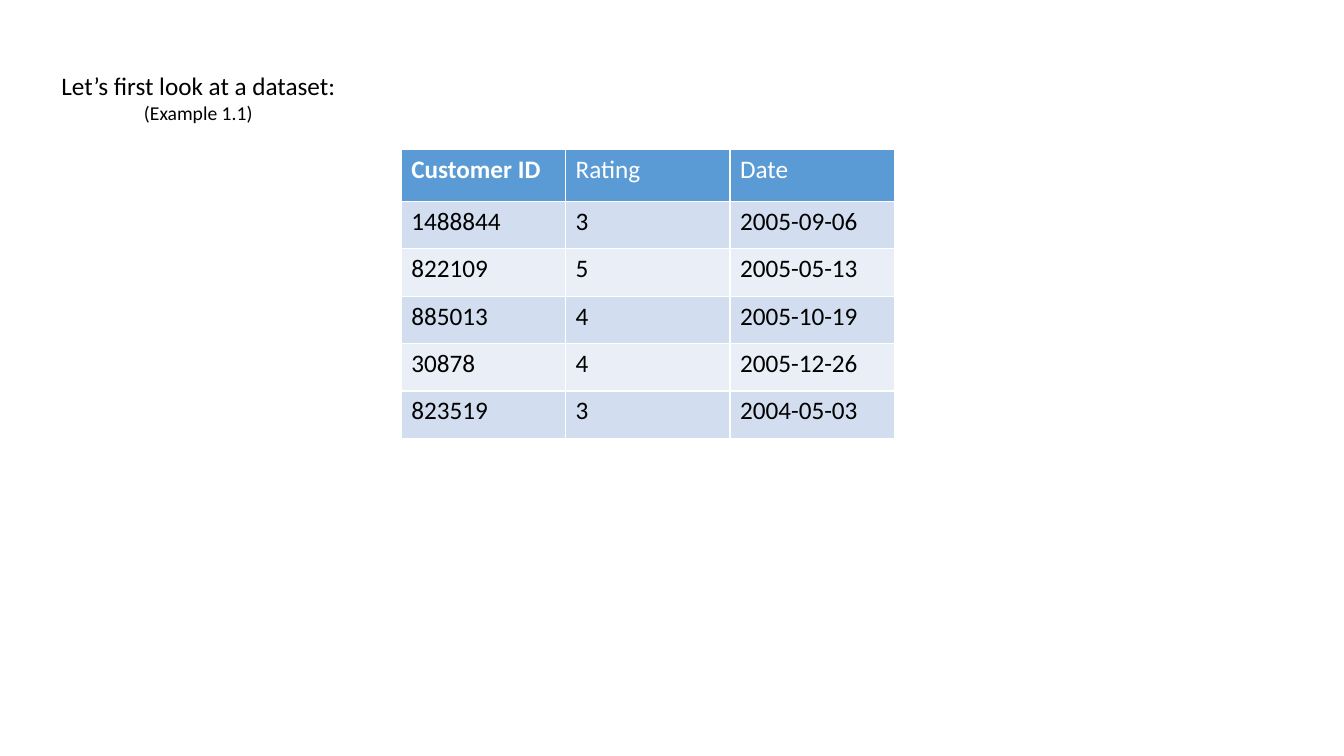
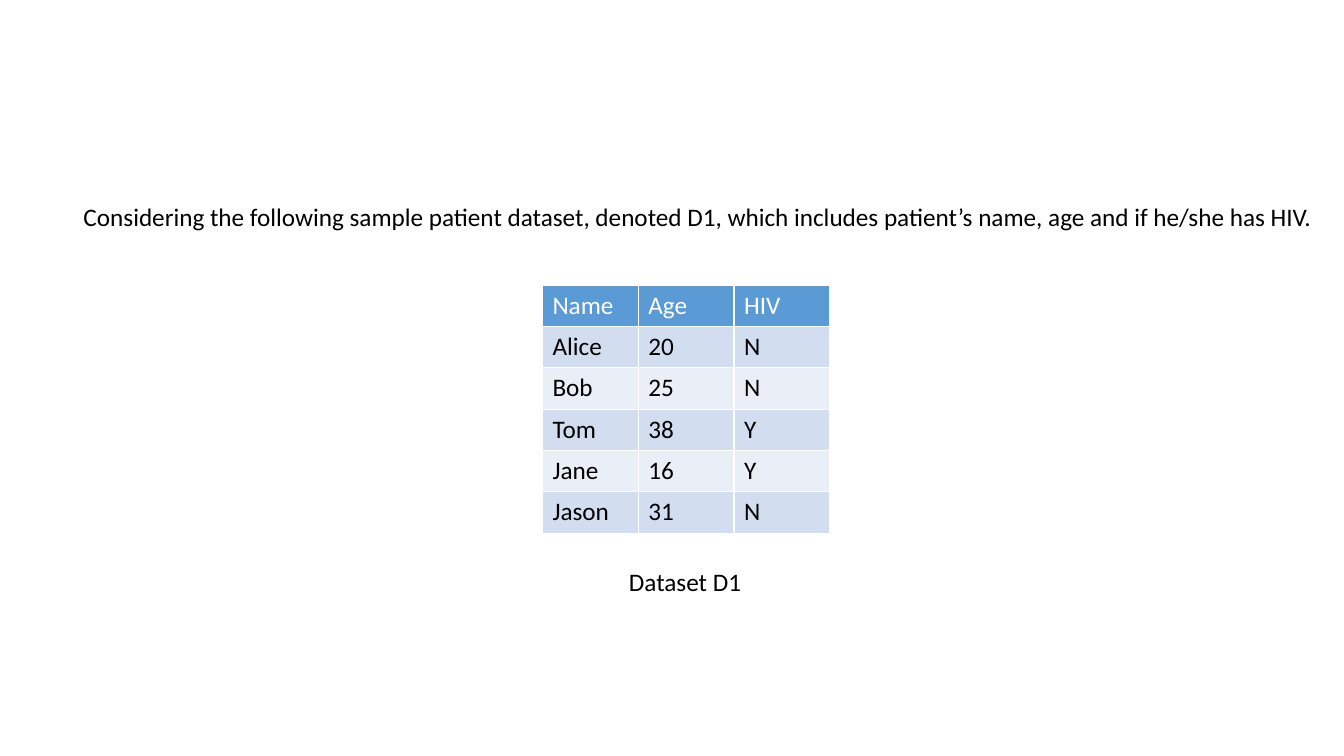
from pptx import Presentation
from pptx.dml.color import RGBColor
from pptx.enum.text import MSO_AUTO_SIZE, PP_ALIGN
from pptx.util import Emu, Pt

PX = 9144
COLORS = {
    "text": "000000",
    "header_text": "FFFFFF",
    "header": "5B9BD5",
    "band_dark": "D2DEEF",
    "band_light": "EAEFF7",
}
RATINGS = [
    ("Customer ID", "Rating", "Date"),
    ("1488844", "3", "2005-09-06"),
    ("822109", "5", "2005-05-13"),
    ("885013", "4", "2005-10-19"),
    ("30878", "4", "2005-12-26"),
    ("823519", "3", "2004-05-03"),
]
PATIENTS = [
    ("Name", "Age", "HIV"),
    ("Alice", "20", "N"),
    ("Bob", "25", "N"),
    ("Tom", "38", "Y"),
    ("Jane", "16", "Y"),
    ("Jason", "31", "N"),
]


def px(length):
    return Emu(length * PX)


def write(paragraph, text, size=18, color="text", bold=False, align=PP_ALIGN.LEFT):
    paragraph.alignment = align
    run = paragraph.add_run()
    run.text = text
    run.font.name = "Calibri"
    run.font.size = Pt(size)
    run.font.bold = bold
    run.font.color.rgb = RGBColor.from_string(COLORS[color])


class Deck:
    """Holds the shared style and the slide being built."""

    def __init__(self):
        self.presentation = Presentation()
        self.presentation.slide_width = px(1333)
        self.presentation.slide_height = px(750)
        self.slide = None

    def new_slide(self):
        self.slide = self.presentation.slides.add_slide(self.presentation.slide_layouts[6])

    def text(self, left, top, width, height, line, note=None):
        frame = self.slide.shapes.add_textbox(px(left), px(top), px(width), px(height)).text_frame
        frame.word_wrap = False
        frame.auto_size = MSO_AUTO_SIZE.SHAPE_TO_FIT_TEXT
        write(frame.paragraphs[0], line)
        if note:
            write(frame.add_paragraph(), note, size=14, align=PP_ALIGN.CENTER)

    def table(self, left, top, column_width, header_height, row_height, records, bold=()):
        heights = [header_height] + [row_height] * (len(records) - 1)
        columns = len(records[0])
        grid = self.slide.shapes.add_table(
            len(records), columns, px(left), px(top), px(column_width * columns), px(sum(heights))
        ).table
        for column in grid.columns:
            column.width = px(column_width)
        for index, (record, height) in enumerate(zip(records, heights)):
            grid.rows[index].height = px(height)
            band = "band_dark" if index % 2 else "band_light"
            fill, color = (band, "text") if index else ("header", "header_text")
            for position, value in enumerate(record):
                cell = grid.cell(index, position)
                cell.fill.solid()
                cell.fill.fore_color.rgb = RGBColor.from_string(COLORS[fill])
                write(cell.text_frame.paragraphs[0], value, color=color, bold=value in bold)


def main():
    deck = Deck()

    deck.new_slide()
    deck.table(398, 148, 163, 52, 47, RATINGS, bold=("Customer ID",))
    deck.text(51, 65, 295, 64, "Let’s first look at a dataset:", note="(Example 1.1)")

    deck.new_slide()
    deck.text(
        73, 195, 1260, 40,
        "Considering the following sample patient dataset, denoted D1, "
        "which includes patient’s name, age and if he/she has HIV.",
    )
    deck.table(538, 283, 95, 41, 41, PATIENTS)
    deck.text(614, 557, 133, 40, "Dataset D1")

    deck.presentation.save("out.pptx")


if __name__ == "__main__":
    main()
